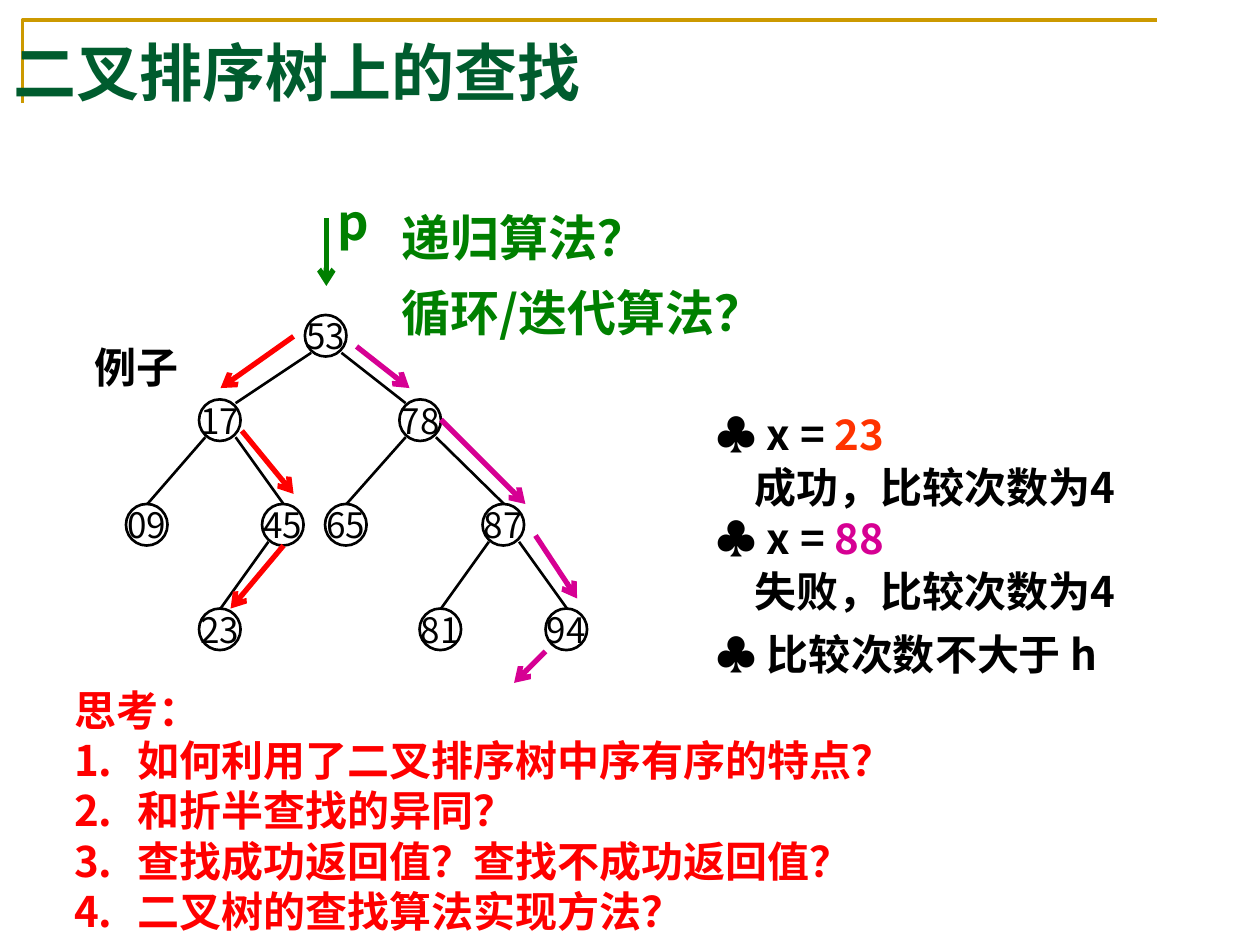
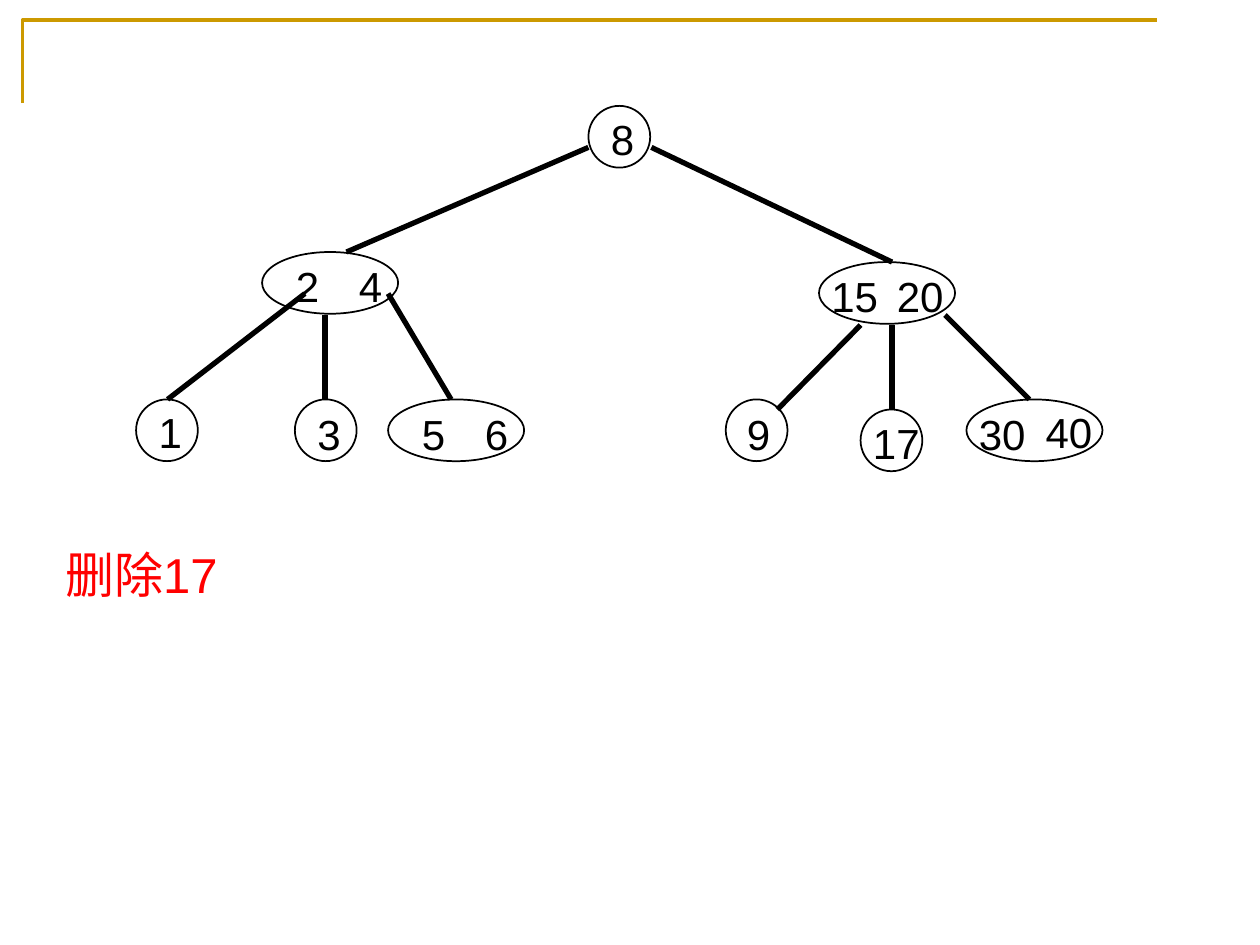
from pptx import Presentation
from pptx.dml.color import RGBColor
from pptx.enum.shapes import MSO_CONNECTOR, MSO_SHAPE
from pptx.enum.text import MSO_ANCHOR, PP_ALIGN
from pptx.oxml.ns import qn
from pptx.util import Inches, Pt
from lxml.etree import SubElement

COLOR = {"gold": "CC9900", "title": "005C2E", "black": "000000", "red": "FF0000",
         "orange": "FF3300", "pink": "D60093", "green": "008000"}
CJK = "Noto Sans CJK SC"
BODY = {"name": CJK, "size": Pt(24), "bold": True}
LARGE = {**BODY, "size": Pt(28)}
NODE = {"name": CJK, "size": Pt(20), "bold": False}
HEAD = {"name": "Times New Roman", "size": Pt(36), "bold": True}
KEY = {"name": "Arial", "size": Pt(24), "bold": False}
NOTE = {**KEY, "size": Pt(28)}

TREE = {"53": (2.42, 2.5, None), "17": (1.58, 3.17, "53"), "78": (3.17, 3.17, "53"),
        "09": (1, 4, "17"), "45": (2.08, 4, "17"), "65": (2.58, 4, "78"),
        "87": (3.83, 4, "78"), "23": (1.58, 4.83, "45"), "81": (3.33, 4.83, "87"),
        "94": (4.33, 4.83, "87")}
STEPS = {"red": [(2.33, 2.67, 1.75, 3.08), (1.92, 3.42, 2.33, 3.92),
                 (2.25, 4.33, 1.83, 4.83)],
         "pink": [(2.83, 2.75, 3.25, 3.08), (3.5, 3.33, 4.17, 4),
                  (4.25, 4.25, 4.58, 4.75), (4.33, 5.17, 4.08, 5.42)],
         "green": [(2.59, 1.73, 2.59, 2.27)]}
ASKS = ["如何利用了二叉排序树中序有序的特点？", "和折半查找的异同？",
        "查找成功返回值？查找不成功返回值？", "二叉树的查找算法实现方法？"]

SMALL, WIDE = 0.49, 1.08
OVALS = [(4.67, 0.84, SMALL), (2.08, 2, WIDE), (6.5, 2.08, WIDE), (1.08, 3.17, SMALL),
         (2.34, 3.17, SMALL), (3.08, 3.17, WIDE), (5.76, 3.17, SMALL),
         (6.83, 3.25, SMALL), (7.67, 3.17, WIDE)]
EDGES = [(4.67, 1.17, 2.75, 2), (5.17, 1.17, 7.08, 2.08), (2.42, 2.33, 1.33, 3.17),
         (2.58, 2.5, 2.58, 3.17), (3.08, 2.33, 3.58, 3.17), (6.83, 2.58, 6.17, 3.25),
         (7.08, 2.58, 7.08, 3.25), (7.5, 2.5, 8.17, 3.17)]
KEYS = [("8", 4.75, 0.83, 0.42), ("2\t4", 2.25, 2, 1.08), ("15", 6.5, 2.08, 0.72),
        ("20", 7.02, 2.08, 0.72), ("1", 1.16, 3.16, 0.42), ("3", 2.42, 3.17, 0.42),
        ("5\t6", 3.25, 3.17, 1.21), ("9", 5.83, 3.17, 0.42), ("17", 6.83, 3.24, 0.59),
        ("30", 7.67, 3.17, 0.68), ("40", 8.2, 3.16, 0.68)]


def paint(name):
    """Return a named colour."""
    return RGBColor.from_string(COLOR[name])


def write(para, text, style, color):
    """Add one styled run to a paragraph."""
    run = para.add_run()
    run.text = text
    for attr, value in style.items():
        setattr(run.font, attr, value)
    run.font.color.rgb = paint(color)
    SubElement(run.font._element, qn("a:ea")).set("typeface", CJK)


def indent(para, left, hang=0.0, number=False, tab=None):
    """Set the indent, numbering and tab stop of a paragraph."""
    props = para._p.get_or_add_pPr()
    props.set("marL", str(Inches(left)))
    props.set("indent", str(-Inches(hang)))
    if number:
        SubElement(props, qn("a:buAutoNum")).set("type", "arabicPeriod")
    if tab:
        stop = SubElement(SubElement(props, qn("a:tabLst")), qn("a:tab"))
        stop.set("pos", str(Inches(tab)))
        stop.set("algn", "l")


def label(slide, box, runs, style, wrap=True):
    """Add a text box with one line of coloured runs."""
    frame = slide.shapes.add_textbox(*map(Inches, box)).text_frame
    frame.word_wrap = wrap
    frame.margin_top = Inches(0.07)
    para = frame.paragraphs[0]
    para.line_spacing = Pt(style["size"].pt * 1.2)
    for text, color in runs:
        write(para, text, style, color)
    return frame


def oval(slide, box, width):
    """Add an unfilled ellipse with a black outline."""
    shape = slide.shapes.add_shape(MSO_SHAPE.OVAL, *map(Inches, box))
    shape.shadow.inherit = False
    shape.fill.background()
    shape.line.color.rgb = paint("black")
    shape.line.width = Pt(width)
    return shape


def link(slide, ends, color, width, arrow=False):
    """Add a straight line, with an arrowhead if asked."""
    line = slide.shapes.add_connector(MSO_CONNECTOR.STRAIGHT, *map(Inches, ends))
    line.line.color.rgb = paint(color)
    line.line.width = Pt(width)
    if arrow:
        SubElement(line.line._get_or_add_ln(), qn("a:tailEnd")).set("type", "arrow")
    SubElement(line._element.spPr, qn("a:effectLst"))


def corner(deck, slide):
    """Draw the gold corner line and put it on the master."""
    pen = slide.shapes.build_freeform(Inches(0.18), Inches(0.82))
    pen.add_line_segments([(Inches(x), Inches(0.16)) for x in (0.18, 9.18)], close=False)
    shape = pen.convert_to_shape()
    shape.shadow.inherit = False
    shape.fill.background()
    shape.line.color.rgb = paint("gold")
    shape.line.width = Pt(2)
    deck.slide_master.element.cSld.spTree.append(shape.element)


def head(slide, text):
    """Place and format the title."""
    title = slide.shapes.title
    for attr, size in zip(("left", "top", "width", "height"), (0.01, 0.28, 10, 0.58)):
        setattr(title, attr, Inches(size))
    frame = title.text_frame
    frame.vertical_anchor = MSO_ANCHOR.MIDDLE
    frame.paragraphs[0].alignment = PP_ALIGN.LEFT
    write(frame.paragraphs[0], text, HEAD, "title")


def node(slide, text, left, top):
    """Add a round tree node with its key."""
    frame = oval(slide, (left, top, 0.33, 0.33), 1.5).text_frame
    frame.word_wrap = False
    frame.vertical_anchor = MSO_ANCHOR.MIDDLE
    for side in ("left", "right", "top", "bottom"):
        setattr(frame, f"margin_{side}", 0)
    frame.paragraphs[0].alignment = PP_ALIGN.CENTER
    write(frame.paragraphs[0], text, NODE, "black")


def tree(slide):
    """Draw the search tree and the two search paths."""
    for text, (left, top, parent) in TREE.items():
        node(slide, text, left, top)
        if parent:
            x, y, root = TREE[parent]
            side = 0.12 if left > x else -0.12
            end = (left + 0.17, top) if root else (left + 0.17 - side, top + 0.03)
            link(slide, (x + 0.17 + side, y + 0.3, *end), "black", 1.5)
    for color, steps in STEPS.items():
        for ends in steps:
            link(slide, ends, color, 3, arrow=True)


def search(slide):
    """Fill the slide on searching."""
    head(slide, "二叉排序树上的查找")
    tree(slide)
    label(slide, (0.65, 2.64, 0.87, 0.5), [("例子", "black")], BODY, wrap=False)
    for text, left, top, width in (("p", 2.58, 1.45, 0.42), ("递归算法？", 3.09, 1.58, 2.36),
                                   ("循环/迭代算法？", 3.09, 2.17, 3.73)):
        frame = label(slide, (left, top, width, 0.57), [(text, "green")], LARGE)
        indent(frame.paragraphs[0], 0.5, 0.5)
    for top, key, color, result in ((3.17, "23", "orange", "成功"), (4, "88", "pink", "失败")):
        label(slide, (5.58, top, 3.33, 0.5), [("♣ x = ", "black"), (key, color)], BODY)
        count = label(slide, (5.58, top + 0.42, 4.29, 0.5),
                      [(f"{result}，比较次数为4", "black")], BODY)
        indent(count.paragraphs[0], 0.31)
    label(slide, (5.58, 4.92, 4.29, 0.5), [("♣ 比较次数不大于 h", "black")], BODY)
    frame = label(slide, (0.49, 5.36, 9.23, 2.12), [("思考：", "red")], BODY)
    for ask in ASKS:
        para = frame.add_paragraph()
        para.line_spacing = Pt(28.8)
        indent(para, 0.5, 0.5, number=True)
        write(para, ask, BODY, "red")


def remove(slide):
    """Fill the slide on deleting a key."""
    label(slide, (0.42, 4.25, 7.39, 0.57), [("删除17", "red")], NOTE)
    for left, top, width in OVALS:
        oval(slide, (left, top, width, SMALL), 1)
    for ends in EDGES:
        link(slide, ends, "black", 3)
    for text, left, top, width in KEYS:
        frame = label(slide, (left, top, width, 0.5), [(text, "black")], KEY)
        if "\t" in text:
            indent(frame.paragraphs[0], 0, tab=0.46)


def main():
    """Build and save the deck."""
    deck = Presentation()
    deck.slide_width, deck.slide_height = Inches(10), Inches(7.5)
    first = deck.slides.add_slide(deck.slide_layouts[5])
    corner(deck, first)
    search(first)
    remove(deck.slides.add_slide(deck.slide_layouts[6]))
    deck.save("out.pptx")


if __name__ == "__main__":
    main()
